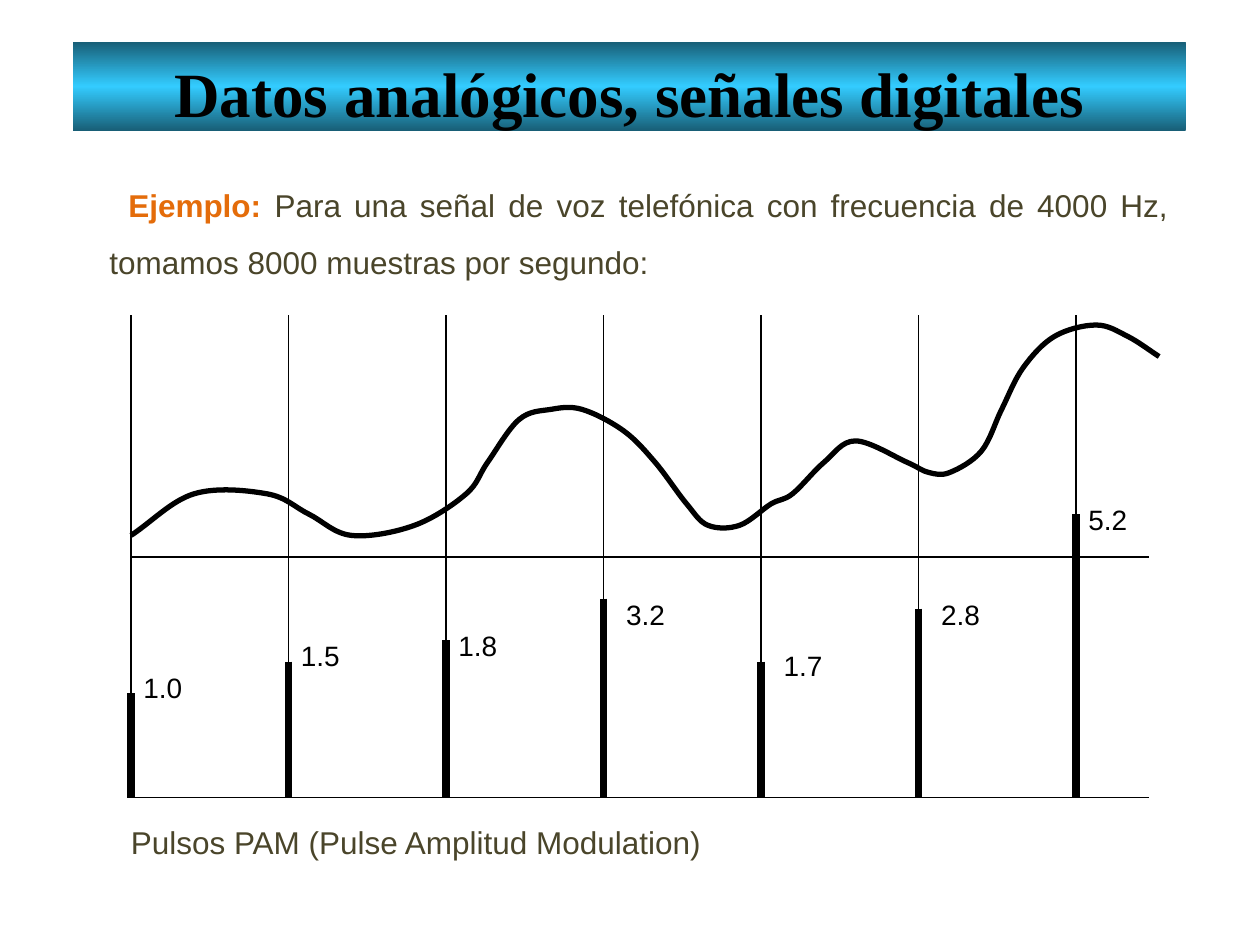
from copy import deepcopy
from dataclasses import dataclass
from lxml import etree
from pptx import Presentation
from pptx.dml.color import RGBColor as Rgb
from pptx.enum.shapes import MSO_CONNECTOR as Link, MSO_SHAPE as Kind
from pptx.enum.text import MSO_ANCHOR as Anchor, PP_ALIGN as Align
from pptx.oxml.ns import qn
from pptx.util import Inches, Pt


@dataclass(frozen=True)
class Theme:
    ink: str = "000000"
    body: str = "4A452A"
    accent: str = "E46C0A"
    edge: str = "185E76"
    glow: str = "33CCFF"
    sans: str = "Arial"
    serif: str = "Times New Roman"
    title: int = 36
    text: int = 18
    label: int = 16
    thin: float = 0.75
    wave: float = 3
    pulse: float = 4.5


class Board:
    def __init__(self, slide, theme):
        self.slide, self.theme = slide, theme
        self.shapes = slide.shapes

    def group(self):
        self.shapes = self.slide.shapes.add_group_shape().shapes

    def ungroup(self):
        self.shapes = self.slide.shapes

    def letter(self, shape, runs, size, font, align=Align.LEFT, top=0.07, wrap=True):
        frame = shape.text_frame
        frame.word_wrap = wrap
        frame.vertical_anchor = Anchor.TOP
        frame.margin_top = Inches(top)
        para = frame.paragraphs[0]
        para.alignment = align
        for text, color, bold in runs:
            run = para.add_run()
            run.text = text
            run.font.name, run.font.size, run.font.bold = font, Pt(size), bold
            run.font.color.rgb = Rgb.from_string(color)
        return para

    def text(self, box, runs, size, **opts):
        shape = self.shapes.add_textbox(*map(Inches, box))
        return self.letter(shape, runs, size, self.theme.sans, **opts)

    def banner(self, box, text):
        t = self.theme
        shape = self.shapes.add_shape(Kind.RECTANGLE, *map(Inches, box))
        shape.shadow.inherit = False
        shape.line.fill.background()
        fill = shape.fill
        fill.gradient()
        fill.gradient_angle = 90
        stops = next(shape._element.spPr.iter(qn("a:gsLst")))
        stops.append(deepcopy(stops[0]))
        looks = ((0, t.edge), (0.5, t.glow), (1, t.edge))
        for stop, (place, color) in zip(fill.gradient_stops, looks):
            stop.position = place
            stop.color.rgb = Rgb.from_string(color)
        self.letter(shape, [(text, t.ink, True)], t.title, t.serif, Align.CENTER, 0.1)

    def stroke(self, shape, width):
        shape.line.color.rgb = Rgb.from_string(self.theme.ink)
        shape.line.width = Pt(width)

    def line(self, start, end, width):
        link = self.shapes.add_connector(Link.STRAIGHT, *map(Inches, start + end))
        self.stroke(link, width)
        etree.SubElement(link._element.spPr, qn("a:effectLst"))

    def curve(self, knots, width):
        last = len(knots) - 1

        def slope(i):
            low, high = max(i - 1, 0), min(i + 1, last)
            return [(b - a) / (3 * (high - low)) for a, b in zip(knots[low], knots[high])]

        points = []
        for i in range(last):
            (x, y), (dx, dy) = knots[i], slope(i)
            (u, v), (du, dv) = knots[i + 1], slope(i + 1)
            points += [(x + dx, y + dy), (u - du, v - dv), (u, v)]
        start, *rest = [(Inches(x), Inches(y)) for x, y in [knots[0]] + points]
        pen = self.shapes.build_freeform(*start)
        pen.add_line_segments(rest, close=False)
        shape = pen.convert_to_shape()
        shape.shadow.inherit = False
        shape.fill.background()
        self.stroke(shape, width)
        route = next(shape._element.iter(qn("a:path")))
        steps = route.findall(qn("a:lnTo"))
        for i in range(0, len(steps), 3):
            bend = etree.SubElement(route, qn("a:cubicBezTo"))
            for step in steps[i:i + 3]:
                bend.append(step[0])
                route.remove(step)


WAVE = [
    (1.04, 4.25), (1.54, 3.92), (2.12, 3.92), (2.45, 4.08), (2.79, 4.25),
    (3.29, 4.17), (3.7, 3.92), (3.87, 3.67), (4.12, 3.33), (4.37, 3.25),
    (4.62, 3.25), (4.95, 3.42), (5.2, 3.67), (5.45, 4), (5.62, 4.17),
    (5.87, 4.17), (6.12, 4), (6.29, 3.92), (6.54, 3.67), (6.79, 3.5),
    (7.2, 3.67), (7.37, 3.75), (7.54, 3.75), (7.79, 3.58), (7.95, 3.25),
    (8.12, 2.92), (8.37, 2.67), (8.7, 2.58), (8.95, 2.67), (9.2, 2.83),
]
PULSES = [
    ("1.0", 5.5, 0, 5.25), ("1.5", 5.25, 0, 5), ("1.8", 5.08, 0, 4.92),
    ("3.2", 4.75, 0.08, 4.67), ("1.7", 5.25, 0.08, 5.08),
    ("2.8", 4.83, 0.08, 4.67), ("5.2", 4.08, 0, 3.92),
]
LEFT, RIGHT, GAP = 1.04, 9.12, 1.25
TOP, AXIS, BASE = 2.5, 4.42, 6.33


def main():
    deck = Presentation()
    deck.slide_width, deck.slide_height = Inches(10), Inches(7.5)
    t = Theme()
    board = Board(deck.slides.add_slide(deck.slide_layouts[6]), t)

    intro = board.text((0.39, 1.25, 8.98, 1.02), [
        ("Ejemplo: ", t.accent, True),
        ("Para una señal de voz telefónica con frecuencia de 4000 Hz, "
         "tomamos 8000 muestras por segundo:", t.body, False),
    ], t.text, align=Align.JUSTIFY, top=0.08)
    intro.line_spacing = 1.5
    props = intro._p.get_or_add_pPr()
    props.set("marL", str(Inches(0.38)))
    props.set("indent", str(Inches(0.15)))

    board.group()
    board.line((LEFT, BASE), (RIGHT, BASE), t.thin)
    board.curve(WAVE, t.wave)
    board.line((LEFT, AXIS), (RIGHT, AXIS), t.thin)
    for i, (value, peak, shift, top) in enumerate(PULSES):
        x = LEFT + GAP * i
        board.line((x, BASE), (x, TOP), t.thin)
        board.line((x, peak), (x, BASE), t.pulse)
        board.text((x + shift, top, 0.51, 0.37), [(value, t.ink, False)],
                   t.label, wrap=False)
    board.text((0.94, 6.46, 4.76, 0.4),
               [("Pulsos PAM (Pulse Amplitud Modulation)", t.body, False)],
               t.text, wrap=False)
    board.ungroup()

    board.banner((0.58, 0.33, 8.83, 0.71), "Datos analógicos, señales digitales")
    deck.save("out.pptx")


if __name__ == "__main__":
    main()
